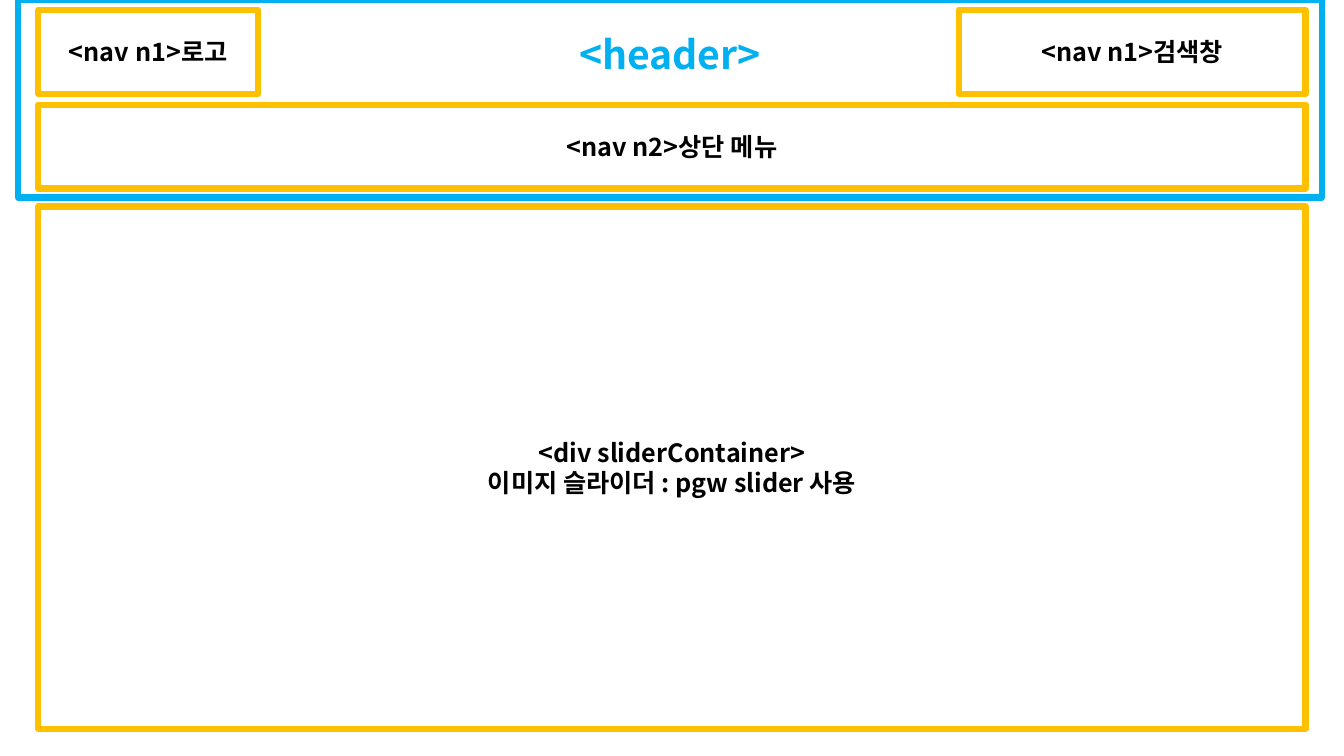
from pptx import Presentation
from pptx.dml.color import RGBColor
from pptx.enum.shapes import MSO_SHAPE
from pptx.enum.text import MSO_ANCHOR, PP_ALIGN
from pptx.util import Inches, Pt

RECT = MSO_SHAPE.RECTANGLE
CENTER = PP_ALIGN.CENTER
MIDDLE, TOP = MSO_ANCHOR.MIDDLE, MSO_ANCHOR.TOP
BLANK = 6

COLORS = {"gold": "FFC000", "blue": "00B0F0", "black": "000000"}
FONT = "Noto Sans CJK KR"

LEFT, WIDTH = 0.38, 12.57
BAR = 0.83
LOGO, SEARCH = 2.18, 3.44


class Wire:
    """Draws outlined, labelled page regions on one slide."""

    def __init__(self, slide):
        self.slide = slide

    def color(self, name):
        return RGBColor.from_string(COLORS[name])

    def box(self, area, lines, line="gold", ink="black", size=18, inset=None):
        """Label is centred, or hung from the top when an inset is given."""
        shape = self.slide.shapes.add_shape(RECT, *map(Inches, area))
        shape.shadow.inherit = False
        shape.fill.background()
        shape.line.color.rgb = self.color(line)
        shape.line.width = Pt(4.5)
        frame = shape.text_frame
        frame.word_wrap = True
        frame.vertical_anchor = MIDDLE
        if inset is not None:
            frame.vertical_anchor = TOP
            frame.margin_top = Inches(inset)
        frame.text = "\n".join(lines)
        for para in frame.paragraphs:
            para.alignment = CENTER
            font = para.font
            font.name, font.size, font.bold = FONT, Pt(size), True
            font.color.rgb = self.color(ink)


def main():
    deck = Presentation()
    deck.slide_width, deck.slide_height = Inches(13.33), Inches(7.5)
    wire = Wire(deck.slides.add_slide(deck.slide_layouts[BLANK]))

    wire.box((LEFT, 0.1, LOGO, BAR), ["<nav n1>로고"])
    wire.box((LEFT + WIDTH - SEARCH, 0.1, SEARCH, BAR), ["<nav n1>검색창"])
    wire.box((LEFT, 1.04, WIDTH, BAR), ["<nav n2>상단 메뉴"])
    wire.box((LEFT, 2.05, WIDTH, 5.18),
             ["<div sliderContainer>", "이미지 슬라이더 : pgw slider 사용"])
    wire.box((0.18, 0, 12.93, 1.96), ["<header>"],
             line="blue", ink="blue", size=28, inset=0.3)
    deck.save("out.pptx")


if __name__ == "__main__":
    main()
